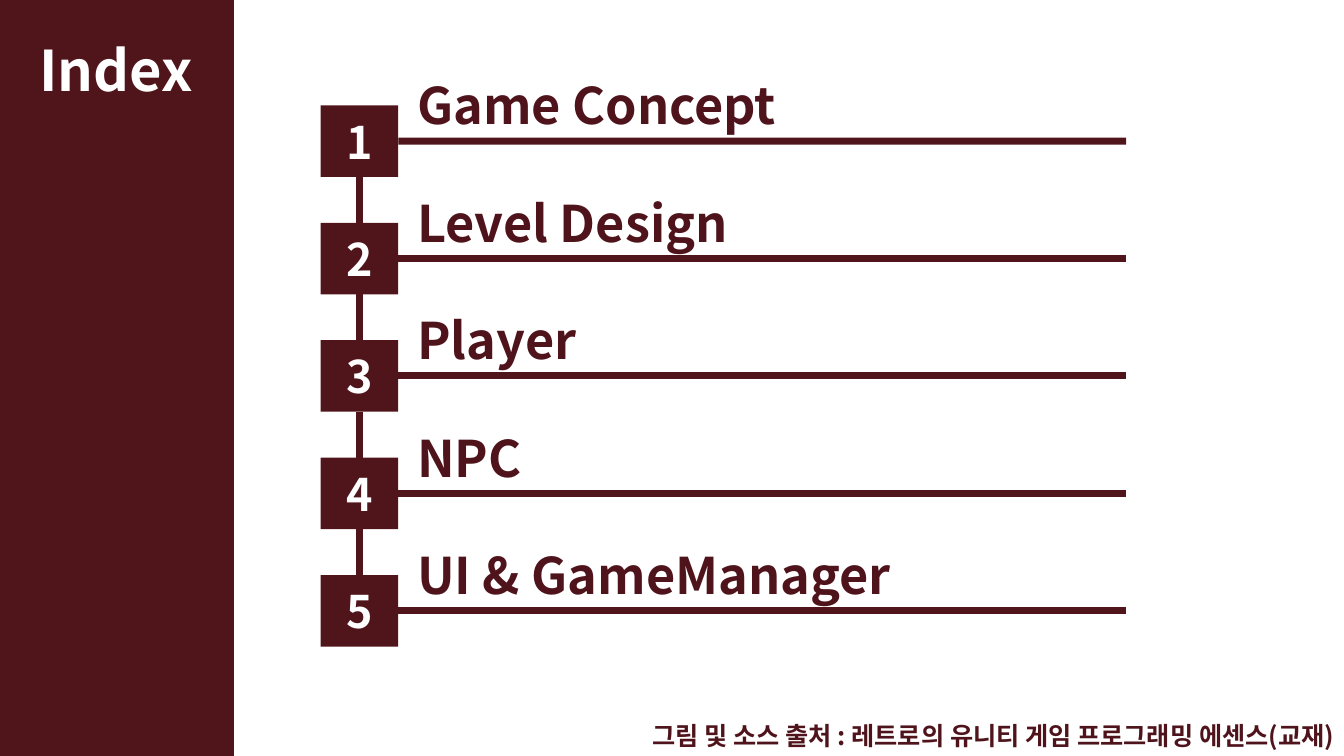
from pptx import Presentation
from pptx.dml.color import RGBColor
from pptx.enum.shapes import MSO_CONNECTOR as Connector, MSO_SHAPE as Shape
from pptx.enum.text import MSO_ANCHOR as Anchor, MSO_AUTO_SIZE as AutoSize, PP_ALIGN as Align
from pptx.oxml.ns import qn
from pptx.util import Inches, Pt
from lxml.etree import SubElement

SLIDE_W, SLIDE_H = 13.33, 7.5
FONT = "Noto Sans CJK KR"
COLORS = {"maroon": "50141B", "ink": "4F141B", "white": "FFFFFF"}
TOPICS = ["Game Concept", "Level Design", "Player", "NPC", "UI & GameManager"]

# Columns and rows of the index, in inches
BADGE_X, BADGE_W, BADGE_H = 3.18, 0.77, 0.71
TOPIC_X, TOPIC_W, TOPIC_H = 4.04, 7.6, 0.71
RULE_END = 11.17
FIRST_RULE, LAST_RULE = 1.4, 6.06
ROW_PITCH = (LAST_RULE - FIRST_RULE) / (len(TOPICS) - 1)
TOP, LEFT, BOTTOM, RIGHT = range(4)


def color(name):
    return RGBColor.from_string(COLORS[name])


def write(frame, text, *, size, ink="ink", align=Align.LEFT, anchor=Anchor.TOP):
    frame.word_wrap = True
    frame.vertical_anchor = anchor
    paragraph = frame.paragraphs[0]
    paragraph.alignment = align
    run = paragraph.add_run()
    run.text = text
    run.font.size = Pt(size)
    run.font.bold = True
    run.font.color.rgb = color(ink)
    run.font.name = FONT
    SubElement(run.font._element, qn("a:ea")).set("typeface", FONT)


def add_label(slide, text, x, y, w, h, **style):
    label = slide.shapes.add_textbox(Inches(x), Inches(y), Inches(w), Inches(h))
    write(label.text_frame, text, **style)
    label.text_frame.auto_size = AutoSize.SHAPE_TO_FIT_TEXT


def add_block(slide, x, y, w, h):
    block = slide.shapes.add_shape(Shape.RECTANGLE, Inches(x), Inches(y), Inches(w), Inches(h))
    block.shadow.inherit = False
    block.fill.solid()
    block.fill.fore_color.rgb = color("maroon")
    block.line.fill.background()
    return block


def add_rule(slide, x1, y1, x2, y2):
    rule = slide.shapes.add_connector(
        Connector.STRAIGHT, Inches(x1), Inches(y1), Inches(x2), Inches(y2))
    rule.line.color.rgb = color("maroon")
    rule.line.width = Pt(5)
    SubElement(rule._element.spPr, qn("a:effectLst"))
    return rule


def add_topic(slide, row, topic):
    """Add a numbered badge, its topic and the rule below; return the badge."""
    rule_y = FIRST_RULE + row * ROW_PITCH
    badge = add_block(slide, BADGE_X, rule_y - BADGE_H / 2, BADGE_W, BADGE_H)
    write(badge.text_frame, str(row + 1), size=32, ink="white",
          align=Align.CENTER, anchor=Anchor.MIDDLE)
    rule = add_rule(slide, BADGE_X + BADGE_W, rule_y, RULE_END, rule_y)
    rule.begin_connect(badge, RIGHT)
    add_label(slide, topic, TOPIC_X, rule_y - TOPIC_H, TOPIC_W, TOPIC_H, size=36)
    return badge


def link_badges(slide, upper, lower):
    link = add_rule(slide, 0, 0, 0, 0)
    link.begin_connect(upper, BOTTOM)
    link.end_connect(lower, TOP)


def main():
    deck = Presentation()
    deck.slide_width, deck.slide_height = Inches(SLIDE_W), Inches(SLIDE_H)
    slide = deck.slides.add_slide(deck.slide_layouts[6])

    add_block(slide, 0, 0, 2.32, SLIDE_H)
    add_label(slide, "Index", 0.29, 0.3, 1.84, 0.77, size=40, ink="white")

    badges = [add_topic(slide, row, topic) for row, topic in enumerate(TOPICS)]
    for upper, lower in zip(badges, badges[1:]):
        link_badges(slide, upper, lower)

    add_label(slide, "그림 및 소스 출처 : 레트로의 유니티 게임 프로그래밍 에센스(교재)",
              0, 7.1, SLIDE_W, 0.4, size=18, align=Align.RIGHT)
    deck.save("out.pptx")


if __name__ == "__main__":
    main()
